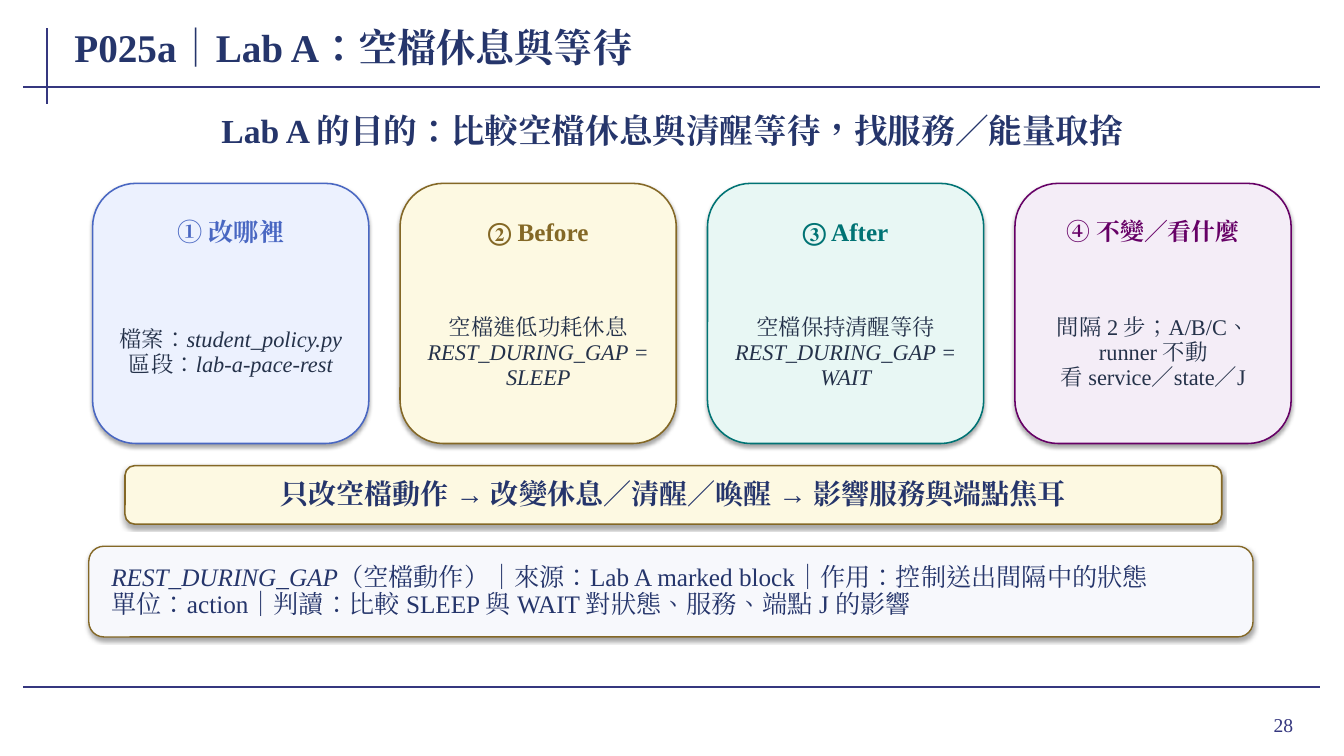
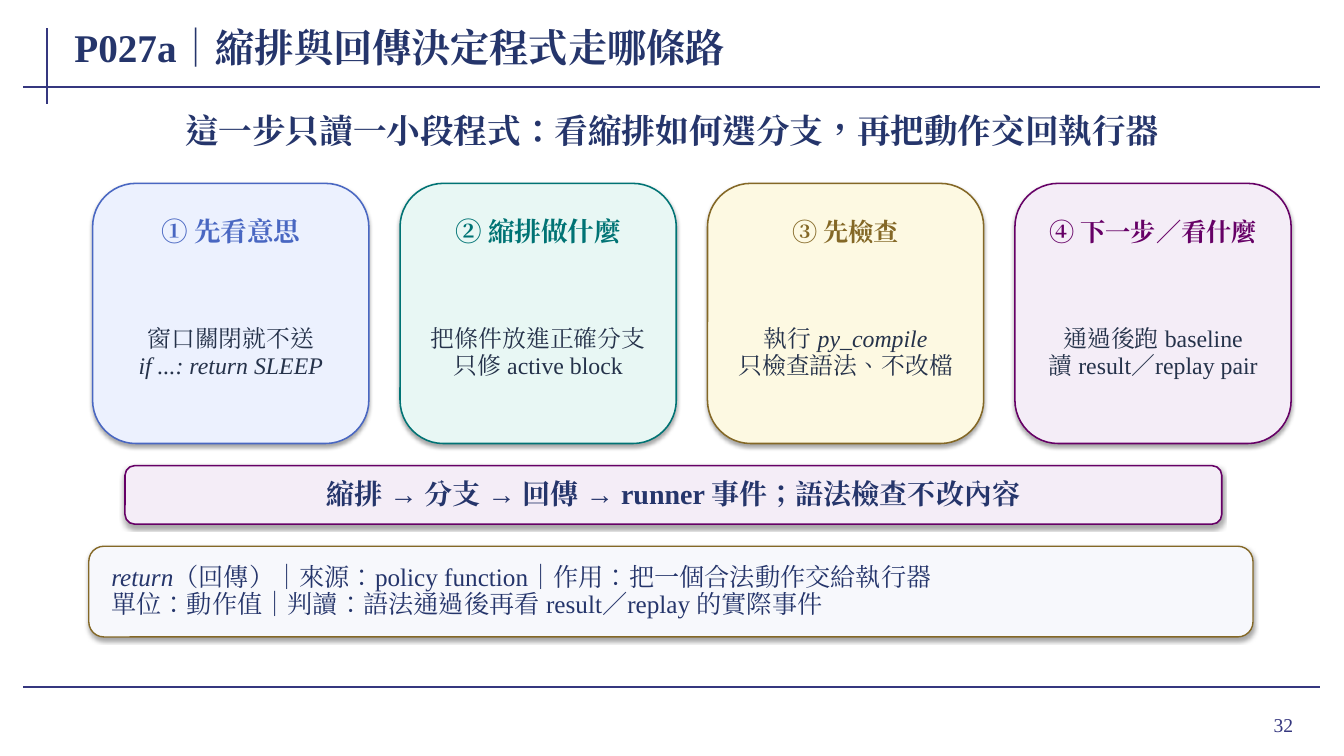
from dataclasses import dataclass

from pptx import Presentation
from pptx.dml.color import RGBColor
from pptx.enum import lang, shapes, text
from pptx.oxml import ns, xmlchemy
from pptx.util import Pt

CENTER, LEFT, RIGHT = text.PP_ALIGN.CENTER, text.PP_ALIGN.LEFT, text.PP_ALIGN.RIGHT


@dataclass(frozen=True)
class Theme:
    font: str = "Times New Roman"
    rule: str = "35377F"
    title: str = "25356B"
    body: str = "25324A"
    note_fill: str = "F7F8FC"
    shadow: str = "000000"
    # Accent pairs: fill, then line and heading
    blue: tuple = ("ECF1FE", "4967C2")
    gold: tuple = ("FDF9E2", "846826")
    teal: tuple = ("E8F7F4", "007374")
    purple: tuple = ("F4EDF7", "660066")
    title_size: int = 28
    subtitle_size: int = 24
    banner_size: int = 20
    note_size: int = 18
    number_size: int = 14


THEME = Theme()


class Deck:
    def __init__(self, theme):
        self.theme = theme
        self.presentation = Presentation()
        self.presentation.slide_width = Pt(960)
        self.presentation.slide_height = Pt(540)
        self.slide = None

    def start_slide(self, title, number):
        """Add a slide with its title, rules and page number."""
        theme = self.theme
        layout = self.presentation.slide_layouts[5]
        self.slide = self.presentation.slides.add_slide(layout)
        for ends in ((33.8, 20.2, 33.8, 74.2), (16.6, 61.9, 943.2, 61.9),
                     (16.6, 491, 943.2, 491)):
            self.rule(*ends)
        self.text_box((861.1, 499, 69.8, 37.4), [str(number)], theme.number_size,
                      theme.rule, align=RIGHT, insets=(7.2, 3.6))
        placeholder = self.slide.shapes.title
        placeholder.left, placeholder.top = Pt(51.8), Pt(14.4)
        placeholder.width, placeholder.height = Pt(745.2), Pt(38.2)
        self.set_lines(placeholder, [title], theme.title_size, theme.title, bold=True,
                       align=LEFT, insets=(1.4, 0))

    def rule(self, *ends):
        line = self.slide.shapes.add_connector(
            shapes.MSO_CONNECTOR.STRAIGHT, *map(Pt, ends))
        line.line.color.rgb = RGBColor.from_string(self.theme.rule)
        line.line.width = Pt(1.5)
        line._element.spPr.append(xmlchemy.OxmlElement("a:effectLst"))

    def text_box(self, bounds, lines, size, color, **style):
        box = self.slide.shapes.add_textbox(*map(Pt, bounds))
        self.set_lines(box, lines, size, color, **style)

    def panel(self, bounds, fill, line, line_width=1.1):
        """Add a rounded rectangle with a soft shadow below it."""
        shape = self.slide.shapes.add_shape(
            shapes.MSO_SHAPE.ROUNDED_RECTANGLE, *map(Pt, bounds))
        shape.fill.solid()
        shape.fill.fore_color.rgb = RGBColor.from_string(fill)
        shape.line.color.rgb = RGBColor.from_string(line)
        shape.line.width = Pt(line_width)
        shape.shadow.inherit = False
        effects = shape._element.spPr.find(ns.qn("a:effectLst"))
        shadow = xmlchemy.OxmlElement("a:outerShdw")
        for name, value in (("blurRad", Pt(3.1)), ("dist", Pt(1.8)),
                            ("dir", 90 * 60000), ("rotWithShape", 0)):
            shadow.set(name, str(int(value)))
        color = xmlchemy.OxmlElement("a:srgbClr")
        color.set("val", self.theme.shadow)
        alpha = xmlchemy.OxmlElement("a:alpha")
        alpha.set("val", "35000")
        color.append(alpha)
        shadow.append(color)
        effects.append(shadow)
        return shape

    def set_lines(self, shape, lines, size, color, bold=False, align=CENTER,
                  spacing=1.0, insets=(0, 0)):
        """Fill a shape with lines; parts between asterisks are italic."""
        frame = shape.text_frame
        frame.word_wrap = True
        frame.auto_size = text.MSO_AUTO_SIZE.NONE
        frame.vertical_anchor = text.MSO_ANCHOR.MIDDLE
        frame.margin_left = frame.margin_right = Pt(insets[0])
        frame.margin_top = frame.margin_bottom = Pt(insets[1])
        frame.text = "\n".join(line.replace("*", "") for line in lines)
        for paragraph, line in zip(frame.paragraphs, lines):
            paragraph.alignment = align
            paragraph.line_spacing = spacing
            if "*" in line:
                paragraph.clear()
                for index, part in enumerate(line.split("*")):
                    if part:
                        run = paragraph.add_run()
                        run.text = part
                        run.font.italic = index % 2 == 1
            for run in paragraph.runs:
                self.style_run(run, size, color, bold)

    def style_run(self, run, size, color, bold):
        font = run.font
        font.size, font.bold, font.name = Pt(size), bold, self.theme.font
        font.color.rgb = RGBColor.from_string(color)
        font.language_id = lang.MSO_LANGUAGE_ID.TRADITIONAL_CHINESE
        east_asian = xmlchemy.OxmlElement("a:ea")
        east_asian.set("typeface", self.theme.font)
        run._r.get_or_add_rPr().find(ns.qn("a:latin")).addnext(east_asian)

    def subtitle(self, line):
        self.text_box((73.4, 75.6, 813.6, 37.4), [line], self.theme.subtitle_size,
                      self.theme.title, bold=True, spacing=0.96, insets=(1.4, 0))

    def cards(self, cards, body_size):
        """Lay out cards of (accent, heading, heading size, body lines) in a row."""
        top = 131
        for index, (accent, heading, heading_size, lines) in enumerate(cards):
            left = 66.2 + 219.6 * index
            self.panel((left, top, 197.3, 185.8), *accent)
            self.text_box((left + 11.5, top + 14.4, 174.2, 41.8), [heading],
                          heading_size, accent[1], bold=True, spacing=0.92,
                          insets=(2.2, 0.7))
            self.text_box((left + 13, top + 70.6, 171.4, 100.8), lines, body_size,
                          self.theme.body, spacing=0.94, insets=(3.6, 0.7))

    def banner(self, accent, line):
        shape = self.panel((89.3, 332.6, 783.4, 41.8), *accent)
        self.set_lines(shape, [line], self.theme.banner_size, self.theme.title,
                       bold=True, spacing=0.95, insets=(8.6, 2.9))

    def note(self, lines):
        shape = self.panel((63.4, 390.2, 831.6, 64.8), self.theme.note_fill,
                           self.theme.gold[1], line_width=1)
        self.set_lines(shape, lines, self.theme.note_size, self.theme.title,
                       align=LEFT, spacing=0.9, insets=(13, 2.2))


def main():
    deck = Deck(THEME)

    deck.start_slide("P025a｜Lab A：空檔休息與等待", 28)
    deck.subtitle("Lab A 的目的：比較空檔休息與清醒等待，找服務／能量取捨")
    deck.cards([
        (THEME.blue, "① 改哪裡", 18,
         ["檔案：*student_policy.py*", "區段：*lab-a-pace-rest*"]),
        (THEME.gold, "② Before", 18,
         ["空檔進低功耗休息", "*REST_DURING_GAP = SLEEP*"]),
        (THEME.teal, "③ After", 18,
         ["空檔保持清醒等待", "*REST_DURING_GAP = WAIT*"]),
        (THEME.purple, "④ 不變／看什麼", 17,
         ["間隔 2 步；A/B/C、runner 不動", "看 service／state／J"]),
    ], body_size=16)
    deck.banner(THEME.gold, "只改空檔動作 → 改變休息／清醒／喚醒 → 影響服務與端點焦耳")
    deck.note([
        "*REST_DURING_GAP*（空檔動作）｜來源：Lab A marked block｜作用：控制送出間隔中的狀態",
        "單位：action｜判讀：比較 SLEEP 與 WAIT 對狀態、服務、端點 J 的影響",
    ])

    deck.start_slide("P027a｜縮排與回傳決定程式走哪條路", 32)
    deck.subtitle("這一步只讀一小段程式：看縮排如何選分支，再把動作交回執行器")
    deck.cards([
        (THEME.blue, "① 先看意思", 19,
         ["窗口關閉就不送", "*if ...: return SLEEP*"]),
        (THEME.teal, "② 縮排做什麼", 19,
         ["把條件放進正確分支", "只修 active block"]),
        (THEME.gold, "③ 先檢查", 18,
         ["執行 *py_compile*", "只檢查語法、不改檔"]),
        (THEME.purple, "④ 下一步／看什麼", 18,
         ["通過後跑 baseline", "讀 result／replay pair"]),
    ], body_size=17)
    deck.banner(THEME.purple, "縮排 → 分支 → 回傳 → runner 事件；語法檢查不改內容")
    deck.note([
        "*return*（回傳）｜來源：policy function｜作用：把一個合法動作交給執行器",
        "單位：動作值｜判讀：語法通過後再看 result／replay 的實際事件",
    ])

    deck.presentation.save("out.pptx")


if __name__ == "__main__":
    main()
